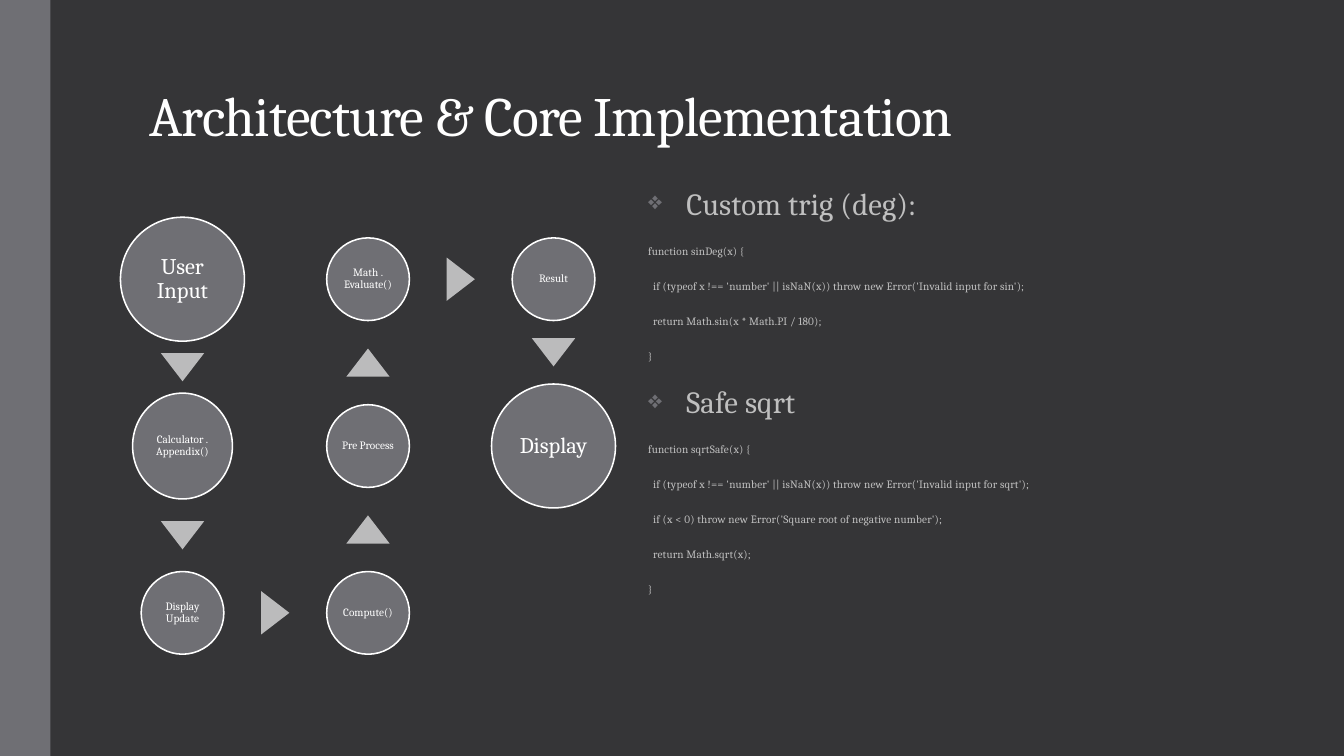
"""Build the architecture slide: a calculator flow diagram beside two code samples."""
from dataclasses import dataclass
from itertools import pairwise

from lxml import etree
from pptx import Presentation
from pptx import util as u
from pptx.dml.color import RGBColor
from pptx.enum import shapes, text
from pptx.oxml.ns import qn


@dataclass(frozen=True)
class Theme:
    font: str = "Cambria"
    bg: str = "353537"
    accent: str = "6F6F74"
    arrow: str = "BBBBBC"
    white: str = "FFFFFF"
    body: str = "BFBFBF"
    title_pt: float = 39.6
    heading_pt: float = 22
    large_pt: float = 16
    small_pt: float = 8


@dataclass(frozen=True)
class Step:
    label: str
    col: int
    row: int
    w: float = 0.82
    h: float = 0.82
    size: float = 8

    @property
    def x(self) -> float:
        return 1.81 + 1.84 * self.col

    @property
    def y(self) -> float:
        return 2.77 + 1.655 * self.row


@dataclass(frozen=True)
class Line:
    content: str
    heading: bool = False
    indent: float = 0


T = Theme()
STEPS = [
    Step("User Input", 0, 0, 1.23, 1.23, T.large_pt),
    Step("Calculator . Appendix()", 0, 1, 0.99, 1.05),
    Step("Display Update", 0, 2),
    Step("Compute()", 1, 2),
    Step("Pre Process", 1, 1),
    Step("Math . Evaluate()", 1, 0),
    Step("Result", 2, 0),
    Step("Display", 2, 1, 1.23, 1.23, T.large_pt),
]
CODE_INDENT = 0.05
LINES = [
    Line("Custom trig (deg):", heading=True),
    Line("function sinDeg(x) {"),
    Line("if (typeof x !== 'number' || isNaN(x)) throw new Error('Invalid input for sin');", indent=CODE_INDENT),
    Line("return Math.sin(x * Math.PI / 180);", indent=CODE_INDENT),
    Line("}"),
    Line("Safe sqrt", heading=True),
    Line("function sqrtSafe(x) {"),
    Line("if (typeof x !== 'number' || isNaN(x)) throw new Error('Invalid input for sqrt');", indent=CODE_INDENT),
    Line("if (x < 0) throw new Error('Square root of negative number');", indent=CODE_INDENT),
    Line("return Math.sqrt(x);", indent=CODE_INDENT),
    Line("}"),
]


def write(p, content: str, *, size: float, color: str, spacing: float,
          align=text.PP_ALIGN.LEFT, before: float = 0, after: float = 0,
          tracking: int = 0) -> None:
    p.alignment = align
    p.line_spacing = spacing
    p.space_before, p.space_after = u.Pt(before), u.Pt(after)
    r = p.add_run()
    r.text = content
    r.font.name, r.font.size = T.font, u.Pt(size)
    r.font.color.rgb = RGBColor.from_string(color)
    if tracking:
        r._r.get_or_add_rPr().set("spc", str(tracking))


def add_bullet(p) -> None:
    pPr = p._p.get_or_add_pPr()
    pPr.set("marL", str(u.Inches(0.38)))
    pPr.set("indent", str(-u.Inches(0.38)))
    color = etree.SubElement(pPr, qn("a:buClr"))
    etree.SubElement(color, qn("a:srgbClr"), val=T.accent)
    etree.SubElement(pPr, qn("a:buSzPct"), val="80000")
    etree.SubElement(pPr, qn("a:buChar"), char="❖")


def set_frame(tf, anchor, inset: float) -> None:
    tf.word_wrap = True
    tf.auto_size = text.MSO_AUTO_SIZE.NONE
    tf.vertical_anchor = anchor
    tf.margin_left = tf.margin_right = tf.margin_top = tf.margin_bottom = u.Inches(inset)


def add_centred(s, kind, x: float, y: float, w: float, h: float, fill: str, line: str = ""):
    sp = s.shapes.add_shape(kind, u.Inches(x - w / 2), u.Inches(y - h / 2), u.Inches(w), u.Inches(h))
    sp.shadow.inherit = False
    sp.fill.solid()
    sp.fill.fore_color.rgb = RGBColor.from_string(fill)
    if line:
        sp.line.color.rgb = RGBColor.from_string(line)
        sp.line.width = u.Pt(1.1)
    else:
        sp.line.fill.background()
    return sp


def add_step(s, step: Step) -> None:
    sp = add_centred(s, shapes.MSO_SHAPE.OVAL, step.x, step.y, step.w, step.h, T.accent, T.white)
    tf = sp.text_frame
    set_frame(tf, text.MSO_ANCHOR.MIDDLE, 0.01)
    write(tf.paragraphs[0], step.label, size=step.size, color=T.white, spacing=0.9,
          align=text.PP_ALIGN.CENTER)


def add_arrow(s, a: Step, b: Step) -> None:
    x, y, turn = a.x, a.y, 90
    if a.col == b.col:
        way = 1 if b.row > a.row else -1
        y = (a.y + b.y + way * (a.h - b.h) / 2) / 2
        turn = 180 if way > 0 else 0
    else:
        x = (a.x + b.x + (a.w - b.w) / 2) / 2
    sp = add_centred(s, shapes.MSO_SHAPE.ISOSCELES_TRIANGLE, x, y, 0.43, 0.28, T.arrow)
    sp.rotation = turn


def add_title(s) -> None:
    sp = s.shapes.title
    sp.left, sp.top, sp.width, sp.height = map(u.Inches, (1.38, 0.83, 10.3, 0.69))
    set_frame(sp.text_frame, text.MSO_ANCHOR.BOTTOM, 0.1)
    sp.text_frame.margin_top = sp.text_frame.margin_bottom = u.Inches(0.05)
    write(sp.text_frame.paragraphs[0], "Architecture & Core Implementation",
          size=T.title_pt, color=T.white, spacing=0.85, tracking=-50)


def add_code(s) -> None:
    tf = s.shapes.add_textbox(*map(u.Inches, (6.33, 1.81, 5.35, 5.29))).text_frame
    set_frame(tf, text.MSO_ANCHOR.TOP, 0.1)
    tf.margin_top = tf.margin_bottom = u.Inches(0.05)
    for i, line in enumerate(LINES):
        p = tf.add_paragraph() if i else tf.paragraphs[0]
        write(p, line.content, size=T.heading_pt if line.heading else T.small_pt,
              color=T.body, spacing=0.95, before=14, after=2, tracking=10)
        if line.heading:
            add_bullet(p)
        elif line.indent:
            p._p.get_or_add_pPr().set("marL", str(u.Inches(line.indent)))


def main() -> None:
    prs = Presentation()
    prs.slide_width, prs.slide_height = u.Inches(13.33), u.Inches(7.5)
    s = prs.slides.add_slide(prs.slide_layouts[5])
    s.background.fill.solid()
    s.background.fill.fore_color.rgb = RGBColor.from_string(T.bg)
    add_centred(s, shapes.MSO_SHAPE.RECTANGLE, 0.25, 3.75, 0.5, 7.5, T.accent)
    add_title(s)
    add_code(s)
    for step in STEPS:
        add_step(s, step)
    for a, b in pairwise(STEPS):
        add_arrow(s, a, b)
    prs.save("out.pptx")


if __name__ == "__main__":
    main()
